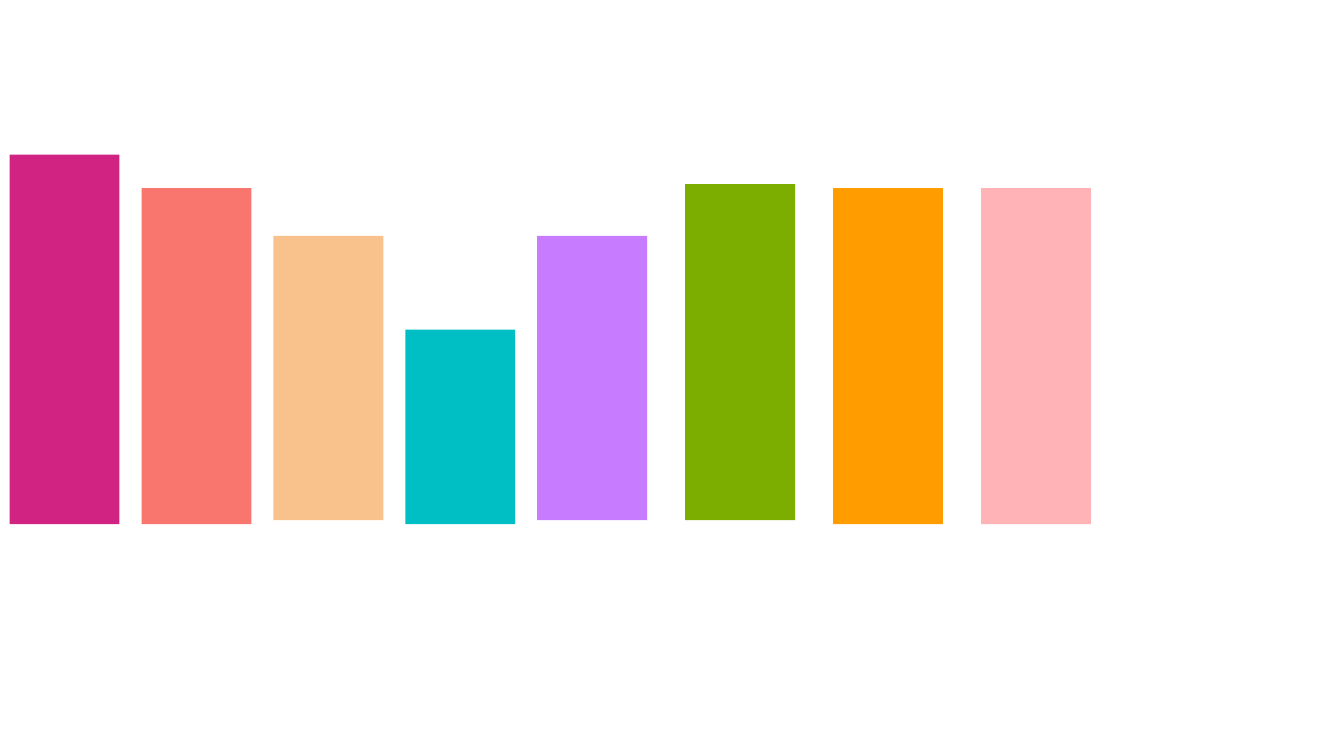
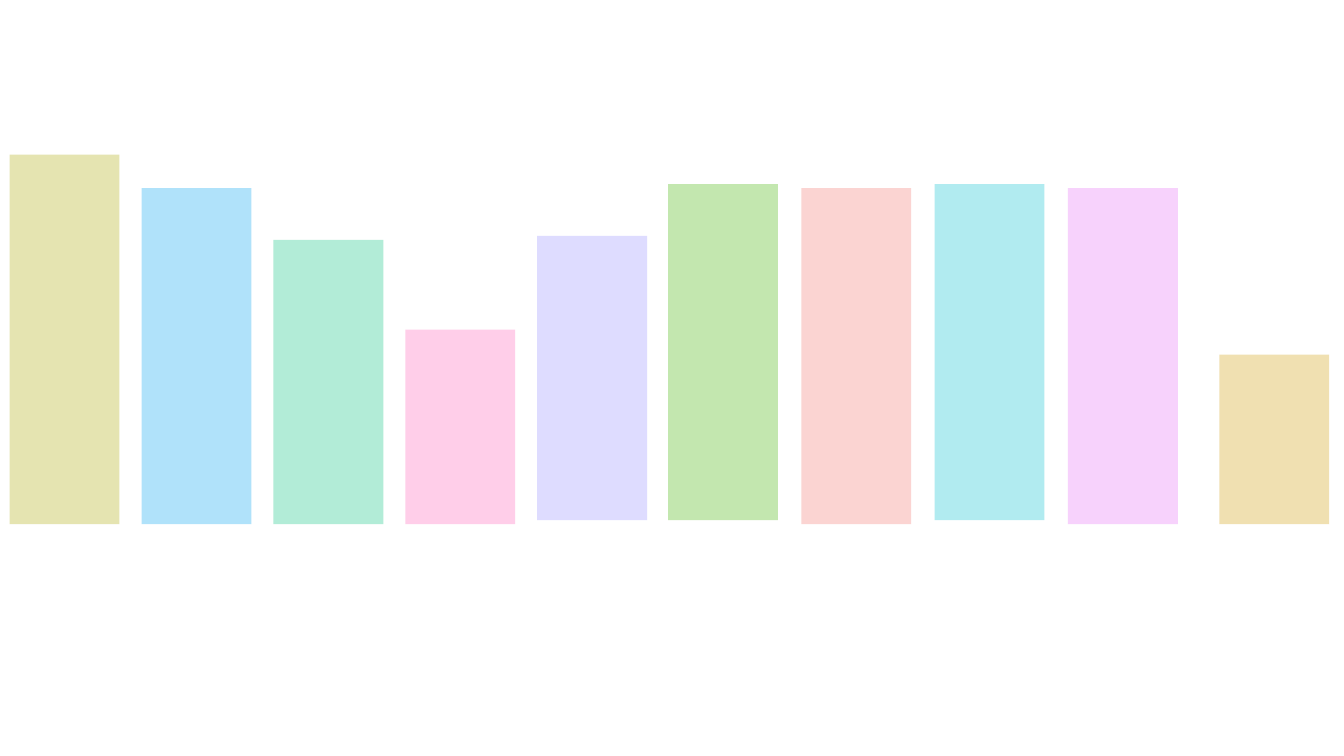
import pptx
import pptx.util
import pptx.dml.color
import pptx.enum.shapes
from dataclasses import dataclass

Pt = pptx.util.Pt


@dataclass(frozen=True)
class Theme:
    background: str = "FFFFFF"
    vivid: tuple = ("D12382", "F8766D", "F9C28D", "00BFC4",
                    "C77CFF", "7CAE00", "FF9D00", "FFB3B6")
    pastel: tuple = ("E5E4B1", "B0E2FA", "B2ECD7", "FFCEE9", "DEDCFF",
                     "C3E7AF", "FBD4D2", "B1EBF0", "F7D2FC", "F0E0B1")


theme = Theme()

# Shared bar geometry, in points
BAR_WIDTH = 78.5
LOW, HIGH = 374.4, 371.5  # the two baselines
TALLEST, TALL, MIDDLE, SHORT, SHORTEST = 264, 240, 203, 139, 121
first_lefts = [6.9 + 94.2 * index for index in range(5)]

# Each palette: colours, bar lefts, (height, baseline) of each bar
palettes = [
    (theme.vivid,
     first_lefts + [489.4 + 105.7 * index for index in range(3)],
     [(TALLEST, LOW), (TALL, LOW), (MIDDLE, HIGH), (SHORT, LOW),
      (MIDDLE, HIGH), (TALL, HIGH), (TALL, LOW), (TALL, LOW)]),
    (theme.pastel,
     first_lefts + [477.2 + 95.2 * index for index in range(4)] + [871],
     [(TALLEST, LOW), (TALL, LOW), (MIDDLE, LOW), (SHORT, LOW),
      (MIDDLE, HIGH), (TALL, HIGH), (TALL, LOW), (TALL, HIGH),
      (TALL, LOW), (SHORTEST, LOW)]),
]

deck = pptx.Presentation()
deck.slide_width, deck.slide_height = Pt(960), Pt(540)
blank_layout = deck.slide_layouts[6]

# One slide of bars per palette
for colours, lefts, sizes in palettes:
    page = deck.slides.add_slide(blank_layout)
    page.background.fill.solid()
    page.background.fill.fore_color.rgb = pptx.dml.color.RGBColor.from_string(theme.background)
    for colour, left, (height, baseline) in zip(colours, lefts, sizes):
        bar = page.shapes.add_shape(
            pptx.enum.shapes.MSO_SHAPE.RECTANGLE,
            Pt(left), Pt(baseline - height), Pt(BAR_WIDTH), Pt(height))
        bar.shadow.inherit = False
        bar.fill.solid()
        bar.fill.fore_color.rgb = pptx.dml.color.RGBColor.from_string(colour)
        bar.line.fill.background()

deck.save("out.pptx")
